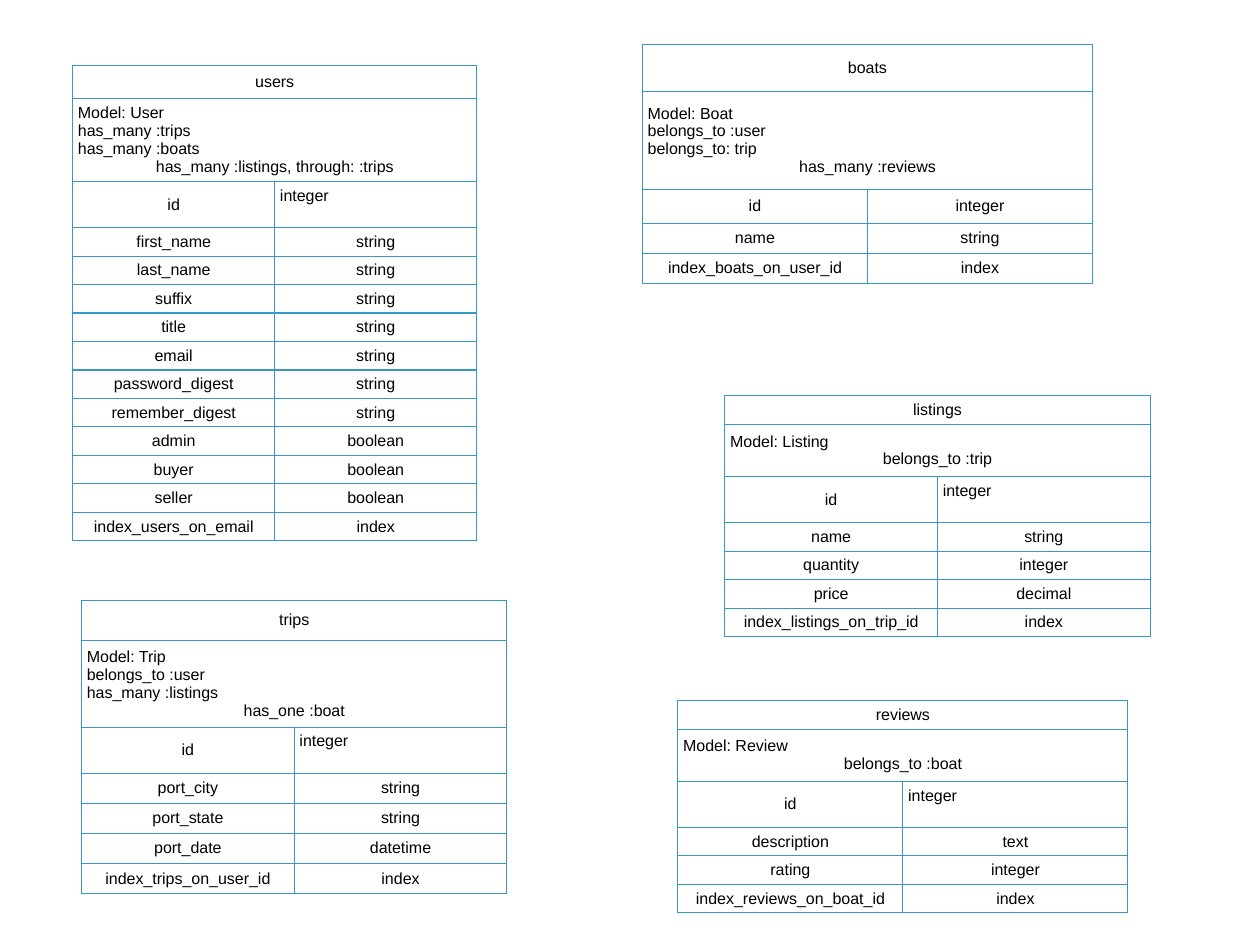
from pptx import Presentation
from pptx.util import Inches, Pt
from pptx.dml.color import RGBColor
from pptx.enum.text import PP_ALIGN, MSO_ANCHOR
from pptx.oxml.ns import qn
from lxml.etree import SubElement

INK, LINE, PAPER = "000000", "3797C6", "FFFFFF"
PAD = 0.06

MODELS = [
    dict(name="boats", left=7.25, top=0.5, col=2.54, heads=(0.53, 1.11, 0.38), row=0.34,
         notes=["Model: Boat", "belongs_to :user", "belongs_to: trip", "has_many :reviews"],
         fields=[("id", "integer"), ("name", "string"), ("index_boats_on_user_id", "index")]),
    dict(name="trips", left=0.92, top=6.78, col=2.4, heads=(0.45, 0.98, 0.52), row=0.34,
         notes=["Model: Trip", "belongs_to :user", "has_many :listings", "has_one :boat"],
         fields=[("id", "integer"), ("port_city", "string"), ("port_state", "string"),
                 ("port_date", "datetime"), ("index_trips_on_user_id", "index")]),
    dict(name="users", left=0.82, top=0.74, col=2.28, heads=(0.37, 0.94, 0.52), row=0.32,
         notes=["Model: User", "has_many :trips", "has_many :boats",
                "has_many :listings, through: :trips"],
         fields=[("id", "integer"), ("first_name", "string"), ("last_name", "string"),
                 ("suffix", "string"), ("title", "string"), ("email", "string"),
                 ("password_digest", "string"), ("remember_digest", "string"),
                 ("admin", "boolean"), ("buyer", "boolean"), ("seller", "boolean"),
                 ("index_users_on_email", "index")]),
    dict(name="listings", left=8.18, top=4.47, col=2.4, heads=(0.31, 0.59, 0.52), row=0.31,
         notes=["Model: Listing", "belongs_to :trip"],
         fields=[("id", "integer"), ("name", "string"), ("quantity", "integer"),
                 ("price", "decimal"), ("index_listings_on_trip_id", "index")]),
    dict(name="reviews", left=7.65, top=7.91, col=2.54, heads=(0.31, 0.59, 0.52), row=0.31,
         notes=["Model: Review", "belongs_to :boat"],
         fields=[("id", "integer"), ("description", "text"), ("rating", "integer"),
                 ("index_reviews_on_boat_id", "index")]),
]


def color(code):
    return RGBColor.from_string(code)


def frame(cell):
    props = cell._tc.get_or_add_tcPr()
    for side in ("a:lnL", "a:lnR", "a:lnT", "a:lnB"):
        edge = SubElement(props, qn(side), w=str(Pt(1)))
        SubElement(SubElement(edge, qn("a:solidFill")), qn("a:srgbClr"), val=LINE)
    cell.fill.solid()
    cell.fill.fore_color.rgb = color(PAPER)
    cell.margin_left = cell.margin_right = Inches(PAD)
    cell.margin_top = cell.margin_bottom = Inches(PAD)
    cell.vertical_anchor = MSO_ANCHOR.MIDDLE


def write(cell, lines):
    cell.text_frame.text = "\n".join(lines)
    paras = cell.text_frame.paragraphs
    for para in paras:
        para.alignment = PP_ALIGN.LEFT
        font = para.runs[0].font
        font.name, font.size, font.bold = "Arial", Pt(13), False
        font.color.rgb = color(INK)
    paras[-1].alignment = PP_ALIGN.CENTER


def draw(slide, model):
    fields = model["fields"]
    sizes = list(model["heads"]) + [model["row"]] * (len(fields) - 1)
    grid = slide.shapes.add_table(
        len(sizes), 2, Inches(model["left"]), Inches(model["top"]),
        Inches(2 * model["col"]), Inches(sum(sizes))).table
    grid.first_row = grid.horz_banding = False
    for col in grid.columns:
        col.width = Inches(model["col"])
    for row, size in zip(grid.rows, sizes):
        row.height = Inches(size)
    for cell in grid.iter_cells():
        frame(cell)
    for num, lines in enumerate([[model["name"]], model["notes"]]):
        grid.cell(num, 0).merge(grid.cell(num, 1))
        write(grid.cell(num, 0), lines)
    for num, pair in enumerate(fields, 2):
        for col, word in enumerate(pair):
            write(grid.cell(num, col), [word])
    if model["name"] != "boats":
        kind = grid.cell(2, 1)
        kind.vertical_anchor = MSO_ANCHOR.TOP
        kind.text_frame.paragraphs[0].alignment = PP_ALIGN.LEFT


deck = Presentation()
deck.slide_width, deck.slide_height = Inches(14.22), Inches(10.67)
slide = deck.slides.add_slide(deck.slide_layouts[6])
for model in MODELS:
    draw(slide, model)
deck.save("out.pptx")
